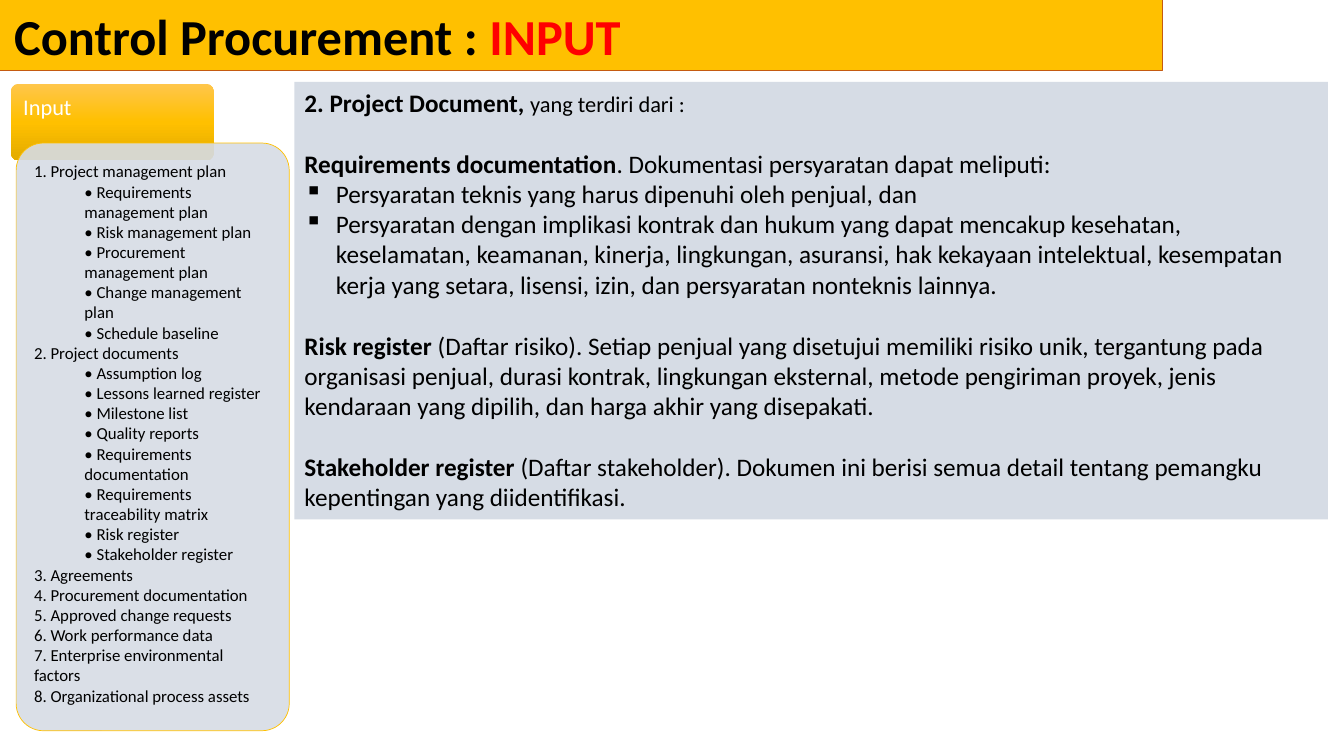
from copy import deepcopy

from lxml import etree
from pptx import Presentation
from pptx.dml.color import RGBColor
from pptx.enum import shapes, text
from pptx.oxml.ns import qn
from pptx.util import Pt

GOLD, PALE, BLACK, WHITE, RED = "FFC000", "D6DCE5", "000000", "FFFFFF", "FF0000"
INPUTS = [
    ("1. Project management plan", [
        "• Requirements management plan",
        "• Risk management plan",
        "• Procurement management plan",
        "• Change management plan",
        "• Schedule baseline",
    ]),
    ("2. Project documents", [
        "• Assumption log",
        "• Lessons learned register",
        "• Milestone list",
        "• Quality reports",
        "• Requirements",
        "documentation",
        "• Requirements traceability matrix",
        "• Risk register",
        "• Stakeholder register",
    ]),
    ("3. Agreements", []),
    ("4. Procurement documentation", []),
    ("5. Approved change requests", []),
    ("6. Work performance data", []),
    ("7. Enterprise environmental", []),
    ("factors", []),
    ("8. Organizational process assets", []),
]
SECTIONS = [
    ("2. Project Document, ", "yang terdiri dari :", 16, []),
    ("Requirements documentation", ". Dokumentasi persyaratan dapat meliputi:", 18, [
        "Persyaratan teknis yang harus dipenuhi oleh penjual, dan",
        "Persyaratan dengan implikasi kontrak dan hukum yang dapat mencakup kesehatan, "
        "keselamatan, keamanan, kinerja, lingkungan, asuransi, hak kekayaan intelektual, "
        "kesempatan kerja yang setara, lisensi, izin, dan persyaratan nonteknis lainnya.",
    ]),
    ("Risk register ", "(Daftar risiko). Setiap penjual yang disetujui memiliki risiko unik, "
     "tergantung pada organisasi penjual, durasi kontrak, lingkungan eksternal, metode "
     "pengiriman proyek, jenis kendaraan yang dipilih, dan harga akhir yang disepakati.", 18, []),
    ("Stakeholder register ", "(Daftar stakeholder). Dokumen ini berisi semua detail tentang "
     "pemangku kepentingan yang diidentifikasi.", 18, []),
]


def rgb(value):
    return RGBColor.from_string(value)


def set_all(obj, **values):
    for name, value in values.items():
        setattr(obj, name, value)


def add_box(slide, kind, box, fill, line=None, width=0.5, side=7.2, top=3.6):
    sp = slide.shapes.add_shape(kind, *map(Pt, box))
    sp.shadow.inherit = False
    sp.fill.solid()
    sp.fill.fore_color.rgb = rgb(fill)
    if line:
        sp.line.color.rgb = rgb(line)
        sp.line.width = Pt(width)
    else:
        sp.line.fill.background()
    set_all(sp.text_frame, word_wrap=True, vertical_anchor=text.MSO_ANCHOR.TOP,
            margin_left=Pt(side), margin_right=Pt(side),
            margin_top=Pt(top), margin_bottom=Pt(top))
    return sp


def add_round(slide, box, fill, line=None, top=7.2):
    sp = add_box(slide, shapes.MSO_SHAPE.ROUNDED_RECTANGLE, box, fill, line, top=top)
    sp.adjustments[0] = 0.1
    return sp


def add_par(tf, runs, before=0, indent=0, hanging=0, bullet=None):
    first = tf.paragraphs[0]
    p = tf.add_paragraph() if first.runs else first
    pPr = p._p.get_or_add_pPr()
    pPr.set("marL", str(Pt(indent)))
    pPr.set("indent", str(Pt(-hanging)))
    if bullet:
        etree.SubElement(pPr, qn("a:buChar"), char=bullet)
    set_all(p, alignment=text.PP_ALIGN.LEFT, space_before=Pt(before))
    for words, size, color, bold in runs:
        r = p.add_run()
        r.text = words
        set_all(r.font, name="Calibri", size=Pt(size), bold=bold)
        r.font.color.rgb = rgb(color)
    return p


def set_gradient(sp, colors):
    sp.fill.gradient()
    sp.fill.gradient_angle = 270
    stops = sp._element.spPr.find(".//" + qn("a:gsLst"))
    stops.append(deepcopy(stops[-1]))
    for i, (stop, color) in enumerate(zip(sp.fill.gradient_stops, colors)):
        stop.position = i / (len(colors) - 1)
        stop.color.rgb = rgb(color)


def set_opacity(sp, percent):
    color = sp._element.spPr.find(qn("a:solidFill"))[0]
    etree.SubElement(color, qn("a:alpha"), val=str(percent * 1000))


def add_title(slide):
    sp = add_box(slide, shapes.MSO_SHAPE.RECTANGLE, (0, 0, 830.2, 50.4), GOLD,
                 "C55A11", 0.75, side=10.2)
    add_par(sp.text_frame, [("Control Procurement : ", 36, BLACK, True),
                            ("INPUT", 36, RED, True)])


def add_inputs(slide):
    tab = add_round(slide, (7.9, 59.8, 144.7, 54.7), GOLD)
    set_gradient(tab, ["FFC64B", GOLD, "E3AB00"])
    add_par(tab.text_frame, [("Input", 16, WHITE, False)]).line_spacing = 0.9
    panel = add_round(slide, (11.5, 102.2, 195.1, 419.8), PALE, GOLD)
    set_opacity(panel, 90)
    for heading, items in INPUTS:
        add_par(panel.text_frame, [(heading, 12, BLACK, False)])
        for item in items:
            add_par(panel.text_frame, [(item, 12, BLACK, False)], indent=36).level = 1


def add_documents(slide):
    sp = add_box(slide, shapes.MSO_SHAPE.RECTANGLE, (210.4, 58.5, 738.2, 312.5), PALE)
    for i, (term, detail, size, points) in enumerate(SECTIONS):
        add_par(sp.text_frame, [(term, 18, BLACK, True), (detail, size, BLACK, False)],
                before=22 if i else 0)
        for point in points:
            add_par(sp.text_frame, [(point, 18, BLACK, False)],
                    indent=22.5, hanging=22.5, bullet="▪")


def main():
    prs = Presentation()
    set_all(prs, slide_width=Pt(960), slide_height=Pt(540))
    slide = prs.slides.add_slide(prs.slide_layouts[6])
    add_title(slide)
    add_inputs(slide)
    add_documents(slide)
    prs.save("out.pptx")


if __name__ == "__main__":
    main()
